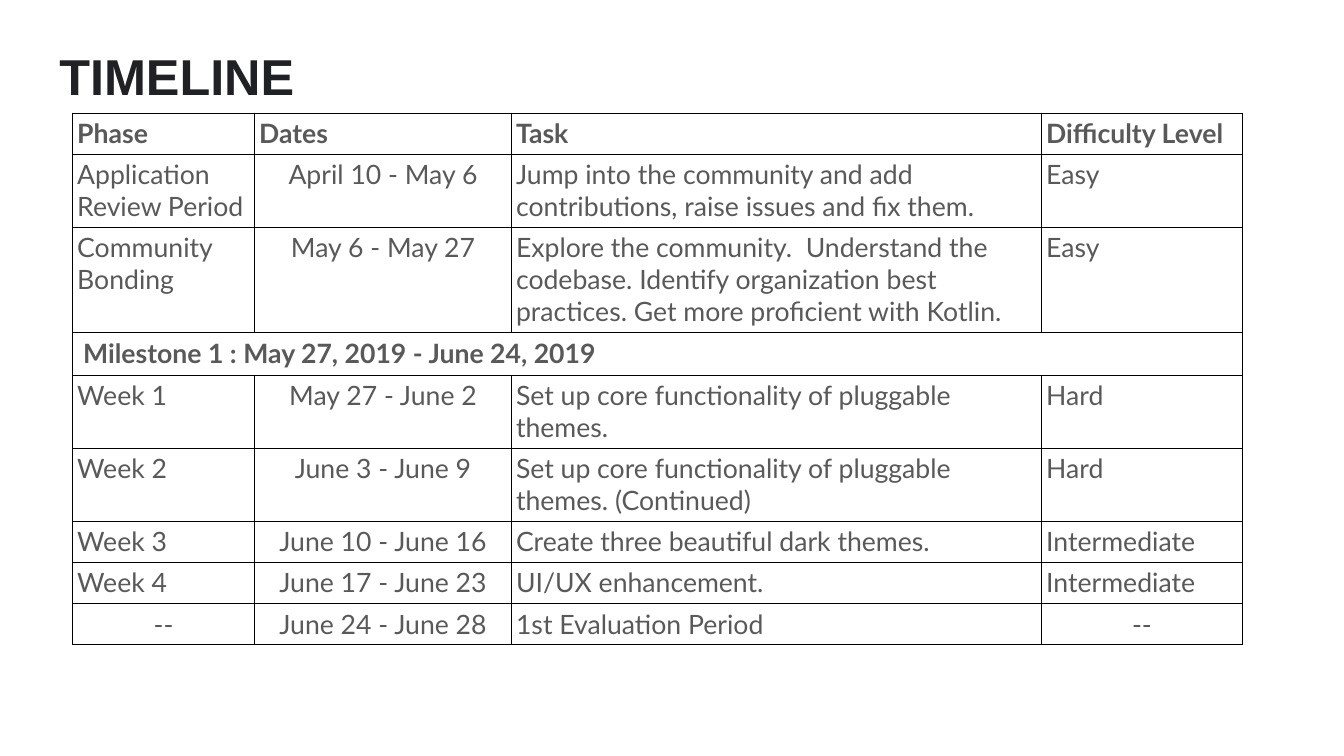
from lxml import etree
from pptx import Presentation
from pptx.dml.color import RGBColor
from pptx.enum import text as t
from pptx.oxml import ns
from pptx.util import Cm, Pt

HEADINGS = ("Phase", "Dates", "Task", "Difficulty Level")
MILESTONE = "Milestone 1 : May 27, 2019 - June 24, 2019"
# Each row: number of text lines, then the cell texts.
SCHEDULE = [
    (1, HEADINGS),
    (2, ("Application Review Period", "April 10 - May 6",
         "Jump into the community and add contributions, raise issues and fix them.", "Easy")),
    (3, ("Community Bonding", "May 6 - May 27",
         "Explore the community.  Understand the codebase. Identify organization best "
         "practices. Get more proficient with Kotlin.", "Easy")),
    (1, (MILESTONE,)),
    (2, ("Week 1", "May 27 - June 2", "Set up core functionality of pluggable themes.", "Hard")),
    (2, ("Week 2", "June 3 - June 9",
         "Set up core functionality of pluggable themes. (Continued)", "Hard")),
    (1, ("Week 3", "June 10 - June 16", "Create three beautiful dark themes.", "Intermediate")),
    (1, ("Week 4", "June 17 - June 23", "UI/UX enhancement.", "Intermediate")),
    (1, ("--", "June 24 - June 28", "1st Evaluation Period", "--")),
]
COLUMN_WIDTHS = (9.17, 12.95, 26.72, 10.11)
LINE_HEIGHT, CELL_MARGIN = 1.61, 0.23
DATES_COLUMN = 1


def rgb(hex_color):
    return RGBColor.from_string(hex_color)


def write(frame, content, size=38, font="Lato", color="595959", bold=False,
          align=t.PP_ALIGN.LEFT, spacing=None, gap=None):
    frame.word_wrap = True
    paragraph = frame.paragraphs[0]
    paragraph.alignment = align
    if spacing:
        paragraph.line_spacing = spacing
    if gap is not None:
        paragraph.space_before = paragraph.space_after = Pt(gap)
    run = paragraph.add_run()
    run.text = content
    run.font.size, run.font.name, run.font.bold = Pt(size), font, bold
    run.font.color.rgb = rgb(color)


def set_margins(holder, across, down):
    holder.margin_left = holder.margin_right = Cm(across)
    holder.margin_top = holder.margin_bottom = Cm(down)


def add_borders(cell, color="000000", width=1):
    properties = cell._tc.get_or_add_tcPr()
    for position, side in enumerate(("lnL", "lnR", "lnT", "lnB")):
        line = etree.Element(ns.qn(f"a:{side}"), w=str(Pt(width)))
        fill = etree.SubElement(line, ns.qn("a:solidFill"))
        etree.SubElement(fill, ns.qn("a:srgbClr"), val=color)
        properties.insert(position, line)


def add_title(slide, left, top, width, height):
    title = slide.shapes.add_textbox(Cm(left), Cm(top), Cm(width), Cm(height))
    frame = title.text_frame
    set_margins(frame, 0.25, 0.25)
    write(frame, "TIMELINE", size=72, font="Arial", color="202124", bold=True, spacing=1.25)


def add_schedule(slide, left, top):
    heights = [lines * LINE_HEIGHT + 2 * CELL_MARGIN for lines, _ in SCHEDULE]
    table = slide.shapes.add_table(len(SCHEDULE), len(COLUMN_WIDTHS), Cm(left), Cm(top),
                                   Cm(sum(COLUMN_WIDTHS)), Cm(sum(heights))).table
    table.first_row = table.horz_banding = False
    for column, width in zip(table.columns, COLUMN_WIDTHS):
        column.width = Cm(width)

    for row, height, (_, entries) in zip(table.rows, heights, SCHEDULE):
        row.height = Cm(height)
        is_heading, is_milestone = entries is HEADINGS, len(entries) == 1
        for cell in row.cells:
            cell.fill.background()
            set_margins(cell, CELL_MARGIN, CELL_MARGIN)
            add_borders(cell)
        if is_milestone:
            row.cells[0].merge(row.cells[len(COLUMN_WIDTHS) - 1])
            set_margins(row.cells[0], 0.53, 0.28)
        for index, (cell, entry) in enumerate(zip(row.cells, entries)):
            is_date = index == DATES_COLUMN and not is_heading
            centred = is_date or entry == "--"
            cell.vertical_anchor = t.MSO_ANCHOR.MIDDLE if is_heading else t.MSO_ANCHOR.TOP
            write(cell.text_frame, entry, bold=is_heading or is_milestone,
                  align=t.PP_ALIGN.CENTER if centred else t.PP_ALIGN.LEFT,
                  gap=1 if is_date else None)


def main():
    deck = Presentation()
    deck.slide_width, deck.slide_height = Cm(67.74), Cm(38.1)
    slide = deck.slides.add_slide(deck.slide_layouts[6])
    add_title(slide, 2.74, 1.27, 37.54, 3.02)
    add_schedule(slide, 3.66, 5.69)
    deck.save("out.pptx")


if __name__ == "__main__":
    main()
